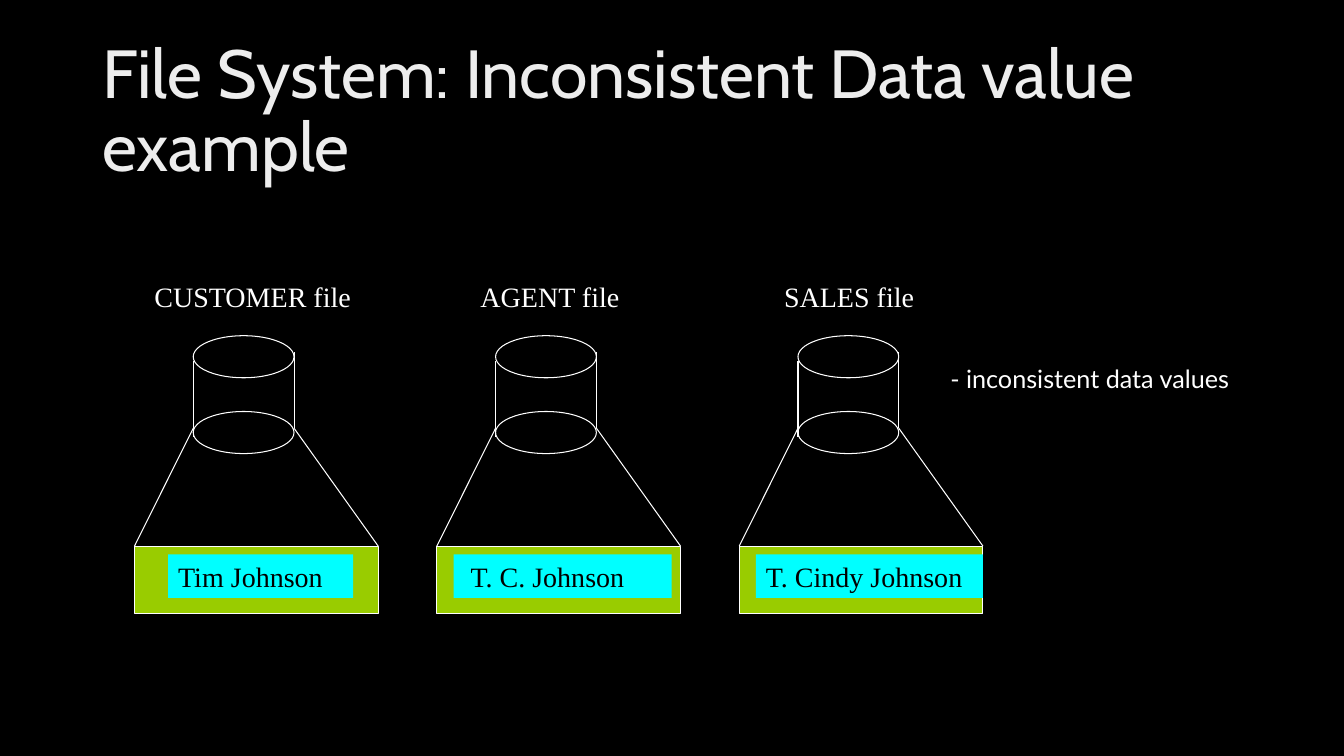
from pptx import Presentation
from pptx.dml.color import RGBColor
from pptx.enum.shapes import MSO_CONNECTOR, MSO_SHAPE
from pptx.enum.text import MSO_ANCHOR, PP_ALIGN
from pptx.oxml.ns import qn
from pptx.util import Cm, Pt
from lxml import etree

OVAL, RECT = MSO_SHAPE.OVAL, MSO_SHAPE.RECTANGLE
LINE = MSO_CONNECTOR.STRAIGHT
TOP, MID = MSO_ANCHOR.TOP, MSO_ANCHOR.MIDDLE
LEFT = PP_ALIGN.LEFT

HEX = {"back": "000000", "title": "EDEDED", "ink": "FFFFFF",
       "record": "99CC00", "value": "00FFFF", "dark": "000000"}
FONTS = {
    "title": {"name": "Cabin", "size": Pt(48.6)},
    "file": {"name": "Times New Roman", "size": Pt(20)},
    "note": {"name": "Lato", "size": Pt(18)},
}

# label, label left, label width, value, value left, value width, value inset
# (lefts are measured from the left edge of each file)
FILES = [
    ("CUSTOMER file", 0.25, 5.46, "Tim Johnson", 0.85, 4.66, 0.25),
    ("AGENT file", 0.85, 4.01, "T. C. Johnson", 0.42, 5.5, 0.43),
    ("SALES file", 0.88, 3.78, "T. Cindy Johnson", 0.42, 5.72, 0.25),
]
PITCH = 7.62


def rgb(key):
    return RGBColor.from_string(HEX[key])


def write(shape, text, font, color, anchor=TOP, wrap=True, inset=0.25):
    frame = shape.text_frame
    form = {"word_wrap": wrap, "vertical_anchor": anchor, "margin_left": Cm(inset)}
    for key, val in form.items():
        setattr(frame, key, val)
    para = frame.paragraphs[0]
    para.text = text
    para.alignment = LEFT
    for key, val in FONTS[font].items():
        setattr(para.font, key, val)
    para.font.color.rgb = rgb(color)
    return para


def add_text(shapes, box, *args, **form):
    return write(shapes.add_textbox(*map(Cm, box)), *args, **form)


def add_form(shapes, kind, box, fill=None, edge=True):
    shape = shapes.add_shape(kind, *map(Cm, box))
    shape.shadow.inherit = False
    if fill:
        shape.fill.solid()
        shape.fill.fore_color.rgb = rgb(fill)
    else:
        shape.fill.background()
    if edge:
        shape.line.color.rgb = rgb("ink")
        shape.line.width = Pt(0.75)
    else:
        shape.line.fill.background()
    return shape


def add_line(shapes, *ends):
    line = shapes.add_connector(LINE, *map(Cm, ends))
    line.line.color.rgb = rgb("ink")
    line.line.width = Pt(0.75)
    etree.SubElement(line._element.spPr, qn("a:effectLst"))


def add_drum(shapes, x, y, wide):
    """Cylinder of two ovals joined by two sides."""
    drum = shapes.add_group_shape().shapes
    drop = 1.91
    add_form(drum, OVAL, (x, y, wide, 1.06))
    for side, start in ((x, 0.64), (x + wide, 0.42)):
        add_line(drum, side, y + start, side, y + start + drop)
    add_form(drum, OVAL, (x, y + drop, wide, 1.06))


def add_file(shapes, x, y, wide, data):
    """Label, drum, and the record that fans out below it."""
    label, label_x, label_w, value, value_x, value_w, inset = data
    add_text(shapes, (x + label_x, y, label_w, 1.1), label, "file", "ink", wrap=False)
    drum_x, drum_w = x + 1.48, 2.54
    add_drum(shapes, drum_x, y + 1.55, drum_w)
    base = y + 6.85
    add_line(shapes, drum_x, y + 3.88, x, base)
    add_line(shapes, x + wide, base, drum_x + drum_w, y + 3.88)
    add_form(shapes, RECT, (x, base, wide, 1.7), "record")
    box = (x + value_x, base + 0.21, value_w, 1.1)
    tag = add_form(shapes, RECT, box, "value", edge=False)
    write(tag, value, "file", "dark", inset=inset)


def add_title(shapes, box):
    para = add_text(shapes, box, "File System: Inconsistent Data value example",
                    "title", "title", anchor=MID)
    para.line_spacing = 0.9


def add_note(shapes, box):
    add_text(shapes, box, "- inconsistent data values", "note", "ink", anchor=MID)


def main():
    deck = Presentation()
    deck.slide_width, deck.slide_height = Cm(33.87), Cm(19.05)
    slide = deck.slides.add_slide(deck.slide_layouts[6])
    slide.background.fill.solid()
    slide.background.fill.fore_color.rgb = rgb("back")
    shapes = slide.shapes
    add_title(shapes, (2.33, 1.01, 29.21, 3.68))
    for i, data in enumerate(FILES):
        add_file(shapes, 3.39 + i * PITCH, 6.91, 6.14, data)
    add_note(shapes, (23.7, 8.26, 10.1, 2.54))
    deck.save("out.pptx")


if __name__ == "__main__":
    main()
